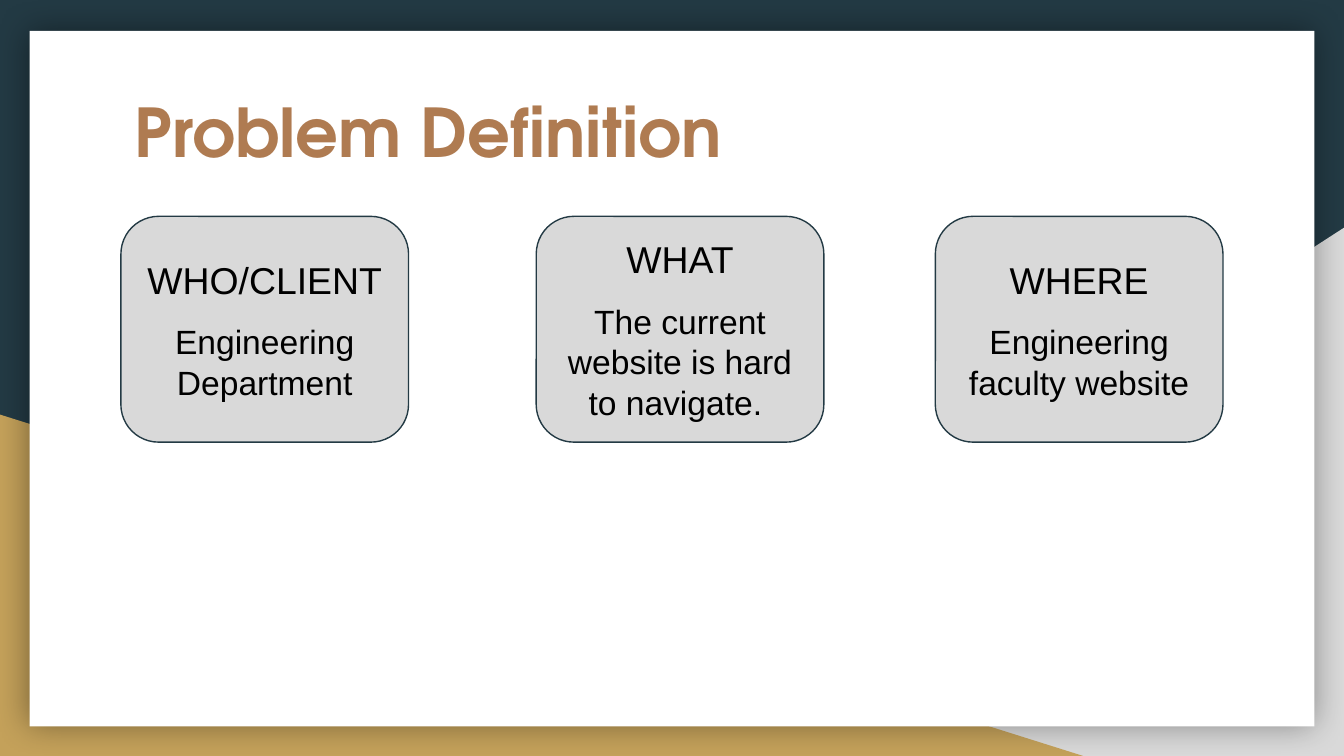
from dataclasses import dataclass

from pptx import Presentation
from pptx.dml.color import RGBColor as Color
from pptx.enum.shapes import MSO_SHAPE as Preset
from pptx.enum.text import MSO_ANCHOR as Anchor, PP_ALIGN as Align
from pptx.oxml import parse_xml
from pptx.util import Inches, Pt


@dataclass(frozen=True)
class Theme:
    """Colours, fonts and type sizes of the deck."""
    navy: str = "233A44"
    grey: str = "D9D9D9"
    gold: str = "C4A15A"
    white: str = "FFFFFF"
    black: str = "000000"
    bronze: str = "AF7B51"
    title_font: str = "TeX Gyre Adventor"
    body_font: str = "Arial"
    title_size: int = 36
    heading_size: int = 20
    body_size: int = 18


THEME = Theme()
PAGE_WIDTH = 10
PAGE_SIZE = (PAGE_WIDTH, PAGE_WIDTH * 9 / 16)
CARD_SIZE = (2.14, 1.68)
CARD_TOP = 1.61
CARDS = [
    (0.9, "WHO/CLIENT", "Engineering Department"),
    (3.99, "WHAT", "The current website is hard to navigate. "),
    (6.96, "WHERE", "Engineering faculty website"),
]
SHADOW = (
    '<a:effectLst xmlns:a="http://schemas.openxmlformats.org/drawingml/2006/main">'
    '<a:outerShdw blurRad="{blur}" dist="0" dir="0" algn="ctr" rotWithShape="0">'
    '<a:srgbClr val="{color}"><a:alpha val="40000"/></a:srgbClr>'
    '</a:outerShdw></a:effectLst>'
)


def set_format(target, values):
    """Set each attribute of target from a dict."""
    for name, value in values.items():
        setattr(target, name, value)


def set_font(span, font, size, color, bold=False):
    """Give a run its typeface, size and colour."""
    set_format(span.font, {"name": font, "size": Pt(size), "bold": bold})
    span.font.color.rgb = Color.from_string(color)


def set_frame(frame, anchor):
    """Wrap the text, anchor it and give it equal insets."""
    margins = {f"margin_{side}": Inches(0.1)
               for side in ("left", "top", "right", "bottom")}
    set_format(frame, {"word_wrap": True, "vertical_anchor": anchor, **margins})


def add_panel(page, preset, box, fill, line=None):
    """Add a flat filled shape in box, outlined if line is given."""
    panel = page.shapes.add_shape(preset, *map(Inches, box))
    panel.shadow.inherit = False
    panel.fill.solid()
    panel.fill.fore_color.rgb = Color.from_string(fill)
    if line:
        panel.line.color.rgb = Color.from_string(line)
        panel.line.width = Pt(0.75)
    else:
        panel.line.fill.background()
    return panel


def add_backdrop(page, box):
    """Fill box with navy, two corner triangles and a shadowed sheet."""
    left, top, width, height = box
    page.background.fill.solid()
    page.background.fill.fore_color.rgb = Color.from_string(THEME.navy)
    right, bottom = left + width, top + height
    grey_corner = add_panel(page, Preset.RIGHT_TRIANGLE,
                            (right - 6.08, bottom - 3.93, 6.08, 3.93), THEME.grey)
    grey_corner.element.spPr.xfrm.set("flipH", "1")
    add_panel(page, Preset.RIGHT_TRIANGLE,
              (left, bottom - 2.54, 8.06, 2.54), THEME.gold)
    sheet = add_panel(page, Preset.RECTANGLE,
                      (left + 0.22, top + 0.23, width - 0.44, height - 0.45),
                      THEME.white)
    properties = sheet.element.spPr
    flat = properties.find("{*}effectLst")
    properties.replace(flat, parse_xml(
        SHADOW.format(blur=Pt(18), color=THEME.black)))


def add_title(page, box, text):
    """Place the title placeholder in box, in front of the backdrop."""
    title = page.shapes.title
    set_format(title, dict(zip(("left", "top", "width", "height"),
                               map(Inches, box))))
    title.element.getparent().append(title.element)
    set_frame(title.text_frame, Anchor.TOP)
    para = title.text_frame.paragraphs[0]
    para.alignment = Align.LEFT
    span = para.add_run()
    span.text = text
    set_font(span, THEME.title_font, THEME.title_size, THEME.bronze, bold=True)


def add_card(page, box, heading, body):
    """Add a rounded card in box with a heading above its body text."""
    card = add_panel(page, Preset.ROUNDED_RECTANGLE, box, THEME.grey, THEME.navy)
    card.adjustments[0] = 0.167
    frame = card.text_frame
    set_frame(frame, Anchor.MIDDLE)
    rows = [(frame.paragraphs[0], heading, THEME.heading_size, 0),
            (frame.add_paragraph(), body, THEME.body_size, 10.5)]
    for para, text, size, gap in rows:
        set_format(para, {"alignment": Align.CENTER, "line_spacing": 1.0,
                          "space_before": Pt(gap)})
        span = para.add_run()
        span.text = text
        set_font(span, THEME.body_font, size, THEME.black)


def build_deck():
    """Build the problem definition slide and return the deck."""
    deck = Presentation()
    set_format(deck, dict(zip(("slide_width", "slide_height"),
                              map(Inches, PAGE_SIZE))))
    page = deck.slides.add_slide(deck.slide_layouts.get_by_name("Title Only"))
    add_backdrop(page, (0, 0, *PAGE_SIZE))
    add_title(page, (0.9, 0.57, 8.21, 1.04), "Problem Definition")
    for left, heading, body in CARDS:
        add_card(page, (left, CARD_TOP, *CARD_SIZE), heading, body)
    return deck


build_deck().save("out.pptx")
